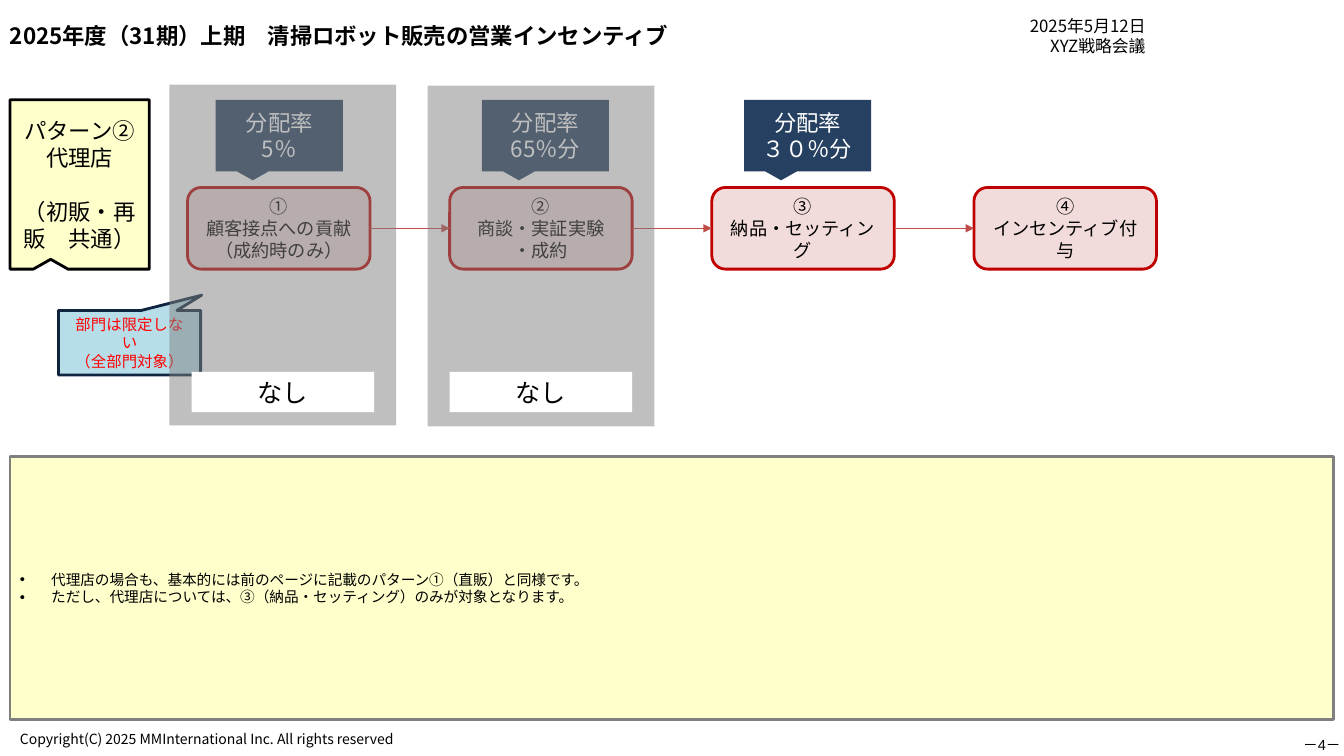
from lxml import etree
from pptx import Presentation
from pptx.dml.color import RGBColor
from pptx.enum.shapes import MSO_CONNECTOR, MSO_SHAPE
from pptx.enum.text import MSO_ANCHOR, PP_ALIGN
from pptx.oxml.ns import qn
from pptx.util import Inches, Pt

FONT = "Noto Sans CJK JP"
COLORS = {
    "black": "000000", "white": "FFFFFF", "red": "FF0000", "gray": "808080",
    "cream": "FFFFCC", "pink": "F2DCDB", "crimson": "C00000", "arrow": "BF4C48",
    "navy": "254061", "sky": "B7DEE8", "ink": "0F243E",
}
# Process grid: four columns of equal pitch
COL_LEFT, COL_PITCH, COL_W = 1.86, 2.6, 1.81
CALLOUT_TOP, STEP_TOP, NONE_TOP = 0.99, 1.86, 3.69
STEP_H = 0.81
MARGIN = 0.1

prs = Presentation()
prs.slide_width, prs.slide_height = Inches(13.33), Inches(7.5)
s = prs.slides.add_slide(prs.slide_layouts[6])


def rgb(name):
    return RGBColor.from_string(COLORS[name])


def add_box(at, lines, size=12, color="black", shape=None, fill=None, line=None,
            align=PP_ALIGN.CENTER, anchor=MSO_ANCHOR.MIDDLE, font=FONT):
    """Add a preset shape, or a text box when no shape is given; at is in inches."""
    at = [Inches(v) for v in at]
    if shape is None:
        sp = s.shapes.add_textbox(*at)
    else:
        sp = s.shapes.add_shape(shape, *at)
        sp.shadow.inherit = False
        sp.fill.solid()
        sp.fill.fore_color.rgb = rgb(fill)
        if line:
            sp.line.color.rgb = rgb(line)
            sp.line.width = Pt(2)
        else:
            sp.line.fill.background()
    tf = sp.text_frame
    tf.word_wrap = True
    tf.vertical_anchor = anchor
    tf.text = "\n".join(lines)
    for p in tf.paragraphs:
        p.alignment = align
        for r in p.runs:
            r.font.size = Pt(size)
            r.font.name = font
            r.font.color.rgb = rgb(color)
            etree.SubElement(r.font._element, qn("a:ea"), typeface=font)
    return sp


# Footer
add_box((MARGIN, 7.2, 4.2, 0.27),
        ["Copyright(C) 2025 MMInternational Inc. All rights reserved"], 10,
        align=PP_ALIGN.LEFT, anchor=MSO_ANCHOR.TOP)
page = add_box((12.92, 7.3, 0.38, 0.18), ["－4－"], 10.5,
               anchor=MSO_ANCHOR.TOP, font="Arial")
tf = page.text_frame
tf.word_wrap = False
tf.margin_left = tf.margin_right = tf.margin_top = tf.margin_bottom = 0

# Process steps, joined by arrows
steps = [
    ["①", "顧客接点への貢献", "（成約時のみ）"],
    ["②", "商談・実証実験", "・成約"],
    ["③", "納品・セッティング"],
    ["④", "インセンティブ付与"],
]
boxes = [
    add_box((COL_LEFT + i * COL_PITCH, STEP_TOP, COL_W, STEP_H), lines, 13,
            shape=MSO_SHAPE.FLOWCHART_ALTERNATE_PROCESS, fill="pink", line="crimson")
    for i, lines in enumerate(steps)
]
for left_box, right_box in zip(boxes, boxes[1:]):
    arrow = s.shapes.add_connector(MSO_CONNECTOR.STRAIGHT, 0, 0, 0, 0)
    arrow.begin_connect(left_box, 3)
    arrow.end_connect(right_box, 1)
    arrow.line.color.rgb = rgb("arrow")
    arrow.line.width = Pt(0.75)
    etree.SubElement(arrow.line._get_or_add_ln(), qn("a:tailEnd"), type="triangle")
    etree.SubElement(arrow._element.spPr, qn("a:effectLst"))

# Share of the incentive for each step
for left, share in [(2.14, "5％"), (4.78, "65％分"), (7.38, "３０％分")]:
    add_box((left, CALLOUT_TOP, 1.26, 0.71), ["分配率", share], 16, "white",
            MSO_SHAPE.RECTANGULAR_CALLOUT, "navy")

# Pattern label and note on departments
pattern = add_box((MARGIN, CALLOUT_TOP, 1.38, 1.68),
                  ["パターン②", "代理店", "（初販・再販　共通）"], 16,
                  shape=MSO_SHAPE.RECTANGULAR_CALLOUT, fill="cream", line="black")
pattern.text_frame.paragraphs[2].space_before = Pt(19)
note = add_box((0.58, 3.08, 1.41, 0.64), ["部門は限定しない", "（全部門対象）"], 11, "red",
               MSO_SHAPE.RECTANGULAR_CALLOUT, "sky", "ink")
for callout, tip in [(pattern, (-0.208, 0.442)), (note, (0.508, -0.737))]:
    callout.adjustments[0], callout.adjustments[1] = tip

# Veils over the steps that earn nothing
for left, top in [(4.24, 0.85), (1.68, 0.84)]:
    veil = add_box((left, top, 2.25, 3.38), [], shape=MSO_SHAPE.RECTANGLE, fill="gray")
    veil_color = veil._element.spPr.find(".//" + qn("a:srgbClr"))
    etree.SubElement(veil_color, qn("a:alpha"), val="50000")
for left in (COL_LEFT + COL_PITCH, 1.9):
    add_box((left, NONE_TOP, COL_W, 0.4), ["なし"], 18,
            shape=MSO_SHAPE.RECTANGLE, fill="white")

# Remarks
remarks = add_box((MARGIN, 4.53, 13.13, 2.61), [
    "代理店の場合も、基本的には前のページに記載のパターン①（直販）と同様です。",
    "ただし、代理店については、③（納品・セッティング）のみが対象となります。",
], 10.5, shape=MSO_SHAPE.RECTANGLE, fill="cream", line="gray", align=PP_ALIGN.LEFT)
for p in remarks.text_frame.paragraphs:
    pPr = p._p.get_or_add_pPr()
    pPr.set("marL", str(Inches(0.31)))
    pPr.set("indent", str(-Inches(0.31)))
    etree.SubElement(pPr, qn("a:buFont"), typeface="Arial")
    etree.SubElement(pPr, qn("a:buChar"), char="•")

# Heading and date
title = add_box((0, 0.05, 9.42, 0.61),
                ["2025年度（31期）上期　清掃ロボット販売の営業インセンティブ"], 16,
                align=PP_ALIGN.LEFT)
title.text_frame.paragraphs[0].runs[0].font.bold = True
add_box((9.42, 0.05, 2.04, 0.61), ["2025年5月12日", "XYZ戦略会議"], 12,
        align=PP_ALIGN.RIGHT)

prs.save("out.pptx")
